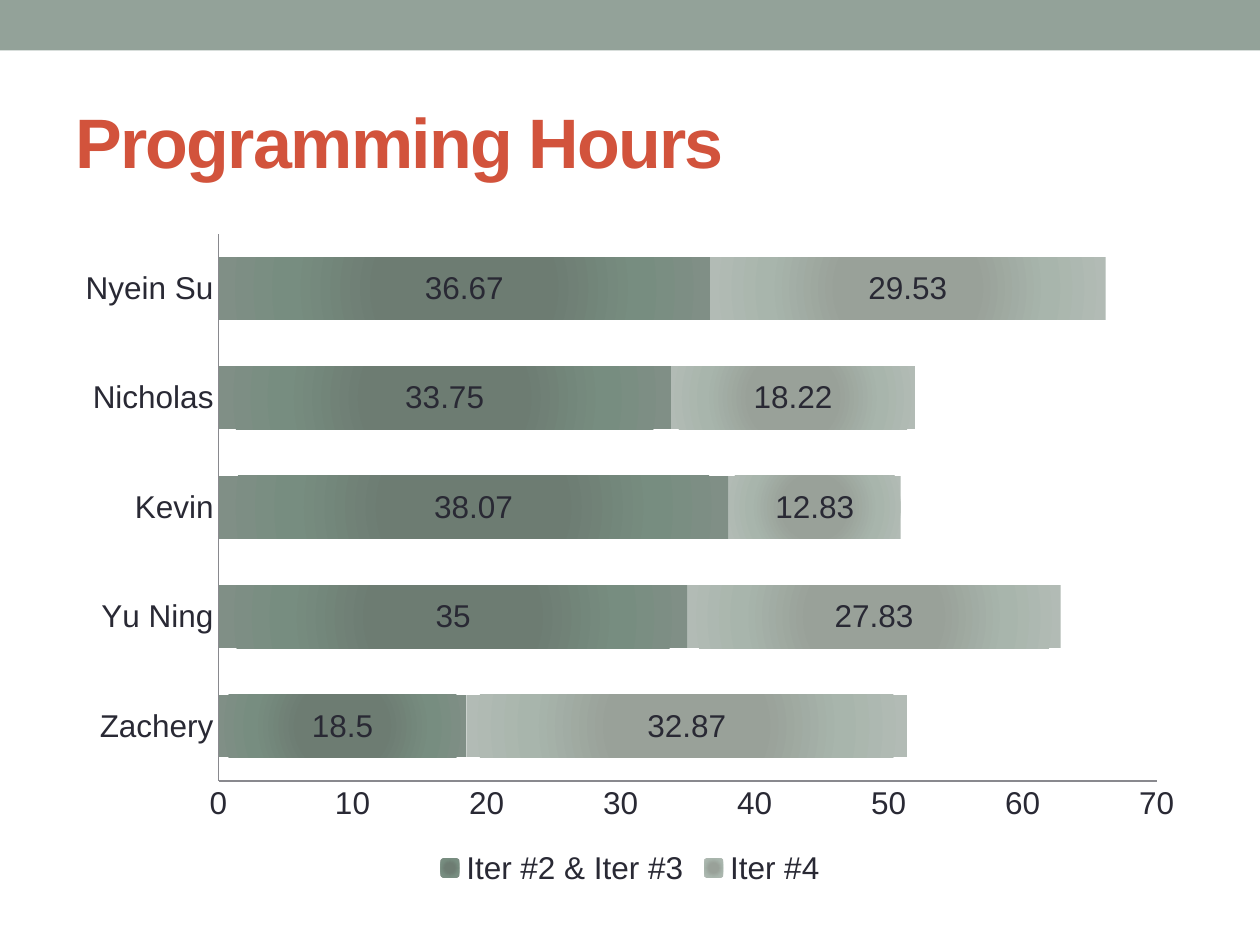
from typing import NamedTuple

from lxml.etree import SubElement
from pptx import Presentation
from pptx.chart.data import CategoryChartData
from pptx.dml.color import RGBColor
from pptx.enum.chart import XL_CHART_TYPE as ChartType
from pptx.enum.chart import XL_LABEL_POSITION as LabelPosition
from pptx.enum.chart import XL_LEGEND_POSITION as LegendPosition
from pptx.enum.chart import XL_TICK_MARK as TickMark
from pptx.enum.shapes import MSO_SHAPE as Preset
from pptx.enum.text import MSO_ANCHOR as Anchor
from pptx.enum.text import PP_ALIGN as Align
from pptx.oxml.ns import qn
from pptx.util import Inches, Pt

SAGE = RGBColor(0x93, 0xA2, 0x99)
RUST = RGBColor(0xD2, 0x53, 0x3C)
INK = RGBColor(0x29, 0x29, 0x34)
AXIS_GRAY = RGBColor(0x89, 0x89, 0x8E)
DARK_GLOW = (RGBColor(0x6D, 0x7C, 0x72), RGBColor(0x77, 0x8D, 0x80), RGBColor(0x80, 0x8F, 0x86))
LIGHT_GLOW = (RGBColor(0x99, 0xA1, 0x99), RGBColor(0xA8, 0xB5, 0xAC), RGBColor(0xB2, 0xBB, 0xB5))
GLOW_STOPS = (34, 70, 100)
FONT = "Arial"

WIDTH, HEIGHT = Inches(10), Inches(7.5)
MARGIN = 0.05


class Iteration(NamedTuple):
    name: str
    hours: tuple[float, ...]
    glow: tuple[RGBColor, ...]


PROGRAMMERS = ("Zachery", "Yu Ning", "Kevin", "Nicholas", "Nyein Su")
ITERATIONS = (
    Iteration("Iter #2 & Iter #3", (18.5, 35, 38.07, 33.75, 36.67), DARK_GLOW),
    Iteration("Iter #4", (32.87, 27.83, 12.83, 18.22, 29.53), LIGHT_GLOW),
)


def band(top: float, height: float, margin: float = MARGIN) -> tuple[int, ...]:
    """Box between equal side margins, all in shares of the slide."""
    return tuple(int(length) for length in (
        WIDTH * margin, HEIGHT * top, WIDTH * (1 - 2 * margin), HEIGHT * height))


def set_format(target, values: dict) -> None:
    for attribute, value in values.items():
        setattr(target, attribute, value)


def set_font(font, size: int, color: RGBColor, bold: bool = False) -> None:
    set_format(font, {"name": FONT, "size": Pt(size), "bold": bold})
    font.color.rgb = color


def add_header_bar(slide) -> None:
    bar = slide.shapes.add_shape(Preset.RECTANGLE, *band(0, 0.4 / 7.5, margin=0))
    bar.shadow.inherit = False
    bar.fill.solid()
    bar.fill.fore_color.rgb = SAGE
    bar.line.fill.background()


def write_title(slide, text: str) -> None:
    title = slide.shapes.title
    box = band(0.077, 0.144)
    set_format(title, dict(zip(("left", "top", "width", "height"), box)))
    title.text_frame.vertical_anchor = Anchor.MIDDLE
    paragraph = title.text_frame.paragraphs[0]
    paragraph.alignment = Align.LEFT
    run = paragraph.add_run()
    run.text = text
    set_font(run.font, 40, RUST, bold=True)
    run.font._element.set("spc", "-100")


def fill_radial(series, colors: tuple[RGBColor, ...]) -> None:
    """Give the bars a gradient that spreads from their centre."""
    series.format.fill.gradient()
    gradient = series._element.find(qn("c:spPr")).find(qn("a:gradFill"))
    for child in list(gradient):
        gradient.remove(child)
    stops = SubElement(gradient, qn("a:gsLst"))
    for position, color in zip(GLOW_STOPS, colors):
        stop = SubElement(stops, qn("a:gs"), pos=str(position * 1000))
        SubElement(stop, qn("a:srgbClr"), val=str(color))
    circle = SubElement(gradient, qn("a:path"), {"path": "circle"})
    SubElement(circle, qn("a:fillToRect"), dict.fromkeys("ltrb", "50000"))


def add_hours_chart(slide) -> None:
    data = CategoryChartData()
    data.categories = PROGRAMMERS
    for iteration in ITERATIONS:
        data.add_series(iteration.name, iteration.hours)
    chart = slide.shapes.add_chart(ChartType.BAR_STACKED, *band(0.233, 0.711), data).chart
    set_font(chart.font, 18, INK)
    set_format(chart, {"has_title": False, "has_legend": True})
    set_format(chart.legend, {"position": LegendPosition.BOTTOM, "include_in_layout": False})

    for axis in (chart.category_axis, chart.value_axis):
        set_format(axis, {"has_major_gridlines": False, "major_tick_mark": TickMark.NONE,
                          "minor_tick_mark": TickMark.NONE})
        axis.format.line.color.rgb = AXIS_GRAY
        axis.format.line.width = Pt(0.75)
    set_format(chart.value_axis, {"minimum_scale": 0, "maximum_scale": 70, "major_unit": 10})

    plot = chart.plots[0]
    set_format(plot, {"gap_width": 75, "overlap": 100, "vary_by_categories": False})
    for series, iteration in zip(plot.series, ITERATIONS):
        fill_radial(series, iteration.glow)
        set_format(series.data_labels, {"show_value": True, "position": LabelPosition.CENTER})


def main() -> None:
    deck = Presentation()
    set_format(deck, {"slide_width": WIDTH, "slide_height": HEIGHT})
    slide = deck.slides.add_slide(deck.slide_layouts.get_by_name("Title Only"))
    add_header_bar(slide)
    write_title(slide, "Programming Hours")
    add_hours_chart(slide)
    deck.save("out.pptx")


if __name__ == "__main__":
    main()
